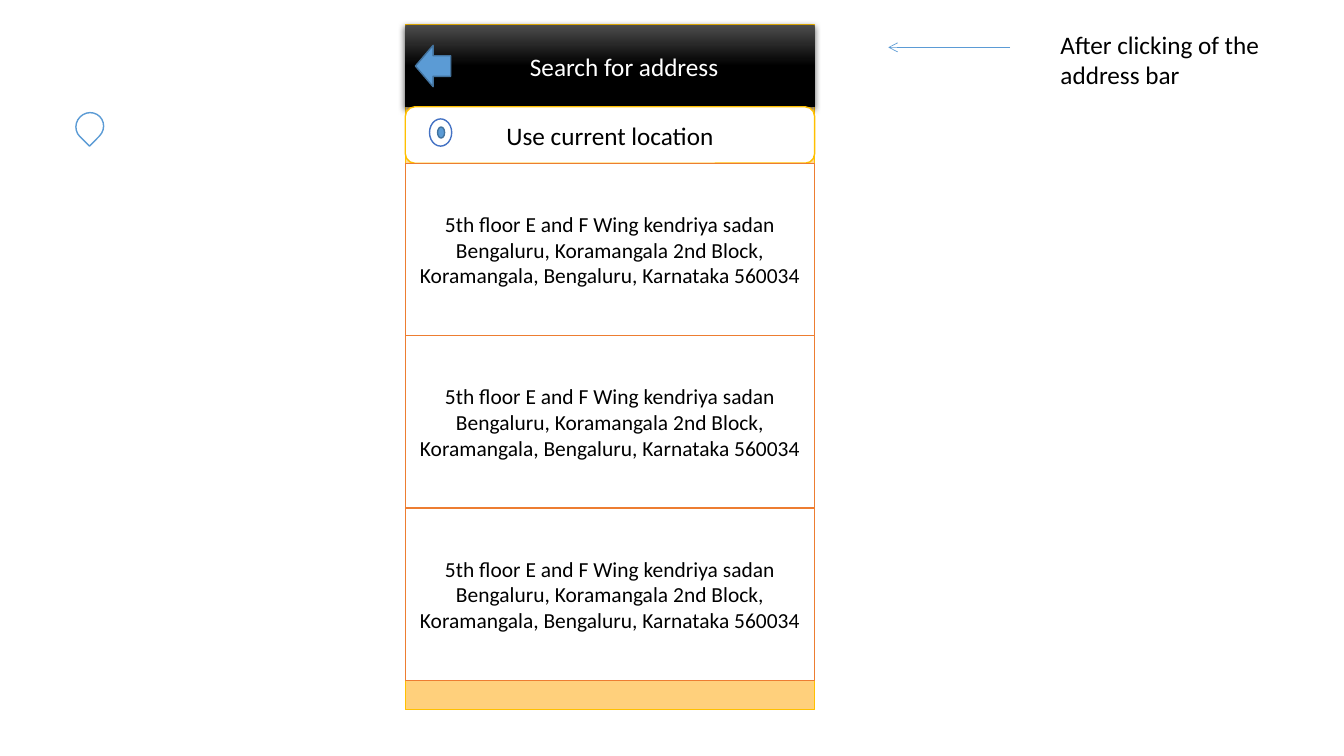
from copy import deepcopy

from lxml import etree
from pptx import Presentation
from pptx.dml.color import RGBColor
from pptx.enum.shapes import MSO_CONNECTOR, MSO_SHAPE
from pptx.enum.text import MSO_ANCHOR, PP_ALIGN
from pptx.oxml import parse_xml
from pptx.oxml.ns import qn
from pptx.util import Inches, Pt

RECT, ROUND, OVAL = MSO_SHAPE.RECTANGLE, MSO_SHAPE.ROUNDED_RECTANGLE, MSO_SHAPE.OVAL
TEAR, ARROW = MSO_SHAPE.TEAR, MSO_SHAPE.RIGHT_ARROW
STRAIGHT = MSO_CONNECTOR.STRAIGHT
MIDDLE, CENTER = MSO_ANCHOR.MIDDLE, PP_ALIGN.CENTER

WHITE = RGBColor(0xFF, 0xFF, 0xFF)
BLACK = RGBColor(0, 0, 0)
GOLD = RGBColor(0xFF, 0xC0, 0)
ORANGE = RGBColor(0xED, 0x7D, 0x31)
BLUE = RGBColor(0x5B, 0x9B, 0xD5)
NAVY = RGBColor(0x43, 0x73, 0x9E)
ROYAL = RGBColor(0x44, 0x72, 0xC4)
AMBERS = [RGBColor(0xFF, 0xDB, 0x9E), RGBColor(0xFF, 0xD5, 0x90), RGBColor(0xFF, 0xD0, 0x7C)]
DARKS = [RGBColor(0x4B, 0x4B, 0x4B), BLACK, BLACK]

LEFT, WIDE = 4.02, 4.06
BAR_TOP, LIST_TOP, CARD = 1.06, 1.62, 1.71
ADDRESS = ("5th floor E and F Wing kendriya sadan Bengaluru, Koramangala 2nd Block, "
           "Koramangala, Bengaluru, Karnataka 560034")

prs = Presentation()
prs.slide_width, prs.slide_height = Inches(13.33), Inches(7.5)
slide = prs.slides.add_slide(prs.slide_layouts[6])
shapes = slide.shapes


def draw(kind, box, fill, edge=None, weight=1):
    """Add a preset shape; a list as fill gives a top-down gradient."""
    shape = shapes.add_shape(kind, *map(Inches, box))
    shape.shadow.inherit = False
    if isinstance(fill, list):
        shape.fill.gradient()
        shape.fill.gradient_angle = 270
        stops = shape._element.spPr.find(".//" + qn("a:gsLst"))
        stops.append(deepcopy(stops[-1]))
        for i, stop in enumerate(shape.fill.gradient_stops):
            stop.color.rgb = fill[i]
            stop.position = i / 2
    else:
        shape.fill.solid()
        shape.fill.fore_color.rgb = fill
    if edge is None:
        shape.line.fill.background()
    else:
        shape.line.color.rgb = edge
        shape.line.width = Pt(weight)
    return shape


def write(shape, text, size=18, color=BLACK, align=CENTER, anchor=MIDDLE):
    frame = shape.text_frame
    frame.word_wrap = True
    frame.vertical_anchor = anchor
    frame.text = text
    para = frame.paragraphs[0]
    para.alignment = align
    font = para.runs[0].font
    font.name, font.size, font.color.rgb = "Calibri", Pt(size), color


# Phone screen and header
draw(RECT, (LEFT, 0.24, WIDE, 6.8), AMBERS, GOLD, 0.5)
header = draw(RECT, (LEFT, 0.25, WIDE, BAR_TOP - 0.25), DARKS)
header.text_frame.margin_left = Inches(0.38)
write(header, "Search for address", color=WHITE)
effects = header._element.spPr.find(qn("a:effectLst"))
effects.append(parse_xml(
    '<a:outerShdw xmlns:a="http://schemas.openxmlformats.org/drawingml/2006/main" '
    'blurRad="57150" dist="19050" dir="5400000" algn="ctr" rotWithShape="0">'
    '<a:srgbClr val="000000"><a:alpha val="63000"/></a:srgbClr></a:outerShdw>'))

# Map pin and location bar
pin = draw(TEAR, (0.75, 1.12, 0.28, 0.27), WHITE, BLUE)
pin.rotation = 134.5
bar = draw(ROUND, (LEFT, BAR_TOP, WIDE, LIST_TOP - BAR_TOP), WHITE, GOLD)
write(bar, "Use current location")

# Side note with its arrow
pointer = shapes.add_connector(STRAIGHT, *map(Inches, (10.02, 0.47, 8.81, 0.47)))
pointer.line.color.rgb = BLUE
pointer.line.width = Pt(0.5)
etree.SubElement(pointer.line._get_or_add_ln(), qn("a:tailEnd"), type="arrow")
etree.SubElement(pointer._element.spPr, qn("a:effectLst"))
note = shapes.add_textbox(*map(Inches, (10.42, 0.24, 2.36, 0.71)))
write(note, "After clicking of the address bar", align=PP_ALIGN.LEFT, anchor=MSO_ANCHOR.TOP)

# Target and back icons
draw(OVAL, (4.26, 1.18, 0.22, 0.27), WHITE, ROYAL)
draw(OVAL, (4.34, 1.26, 0.07, 0.11), BLUE, NAVY)
back = draw(ARROW, (4.12, 0.45, 0.35, 0.41), BLUE, NAVY)
back.rotation = 180

# Address cards
for row in range(3):
    card = draw(RECT, (LEFT, LIST_TOP + row * CARD, WIDE, CARD), WHITE, ORANGE)
    write(card, ADDRESS, size=15.3)

prs.save("out.pptx")
